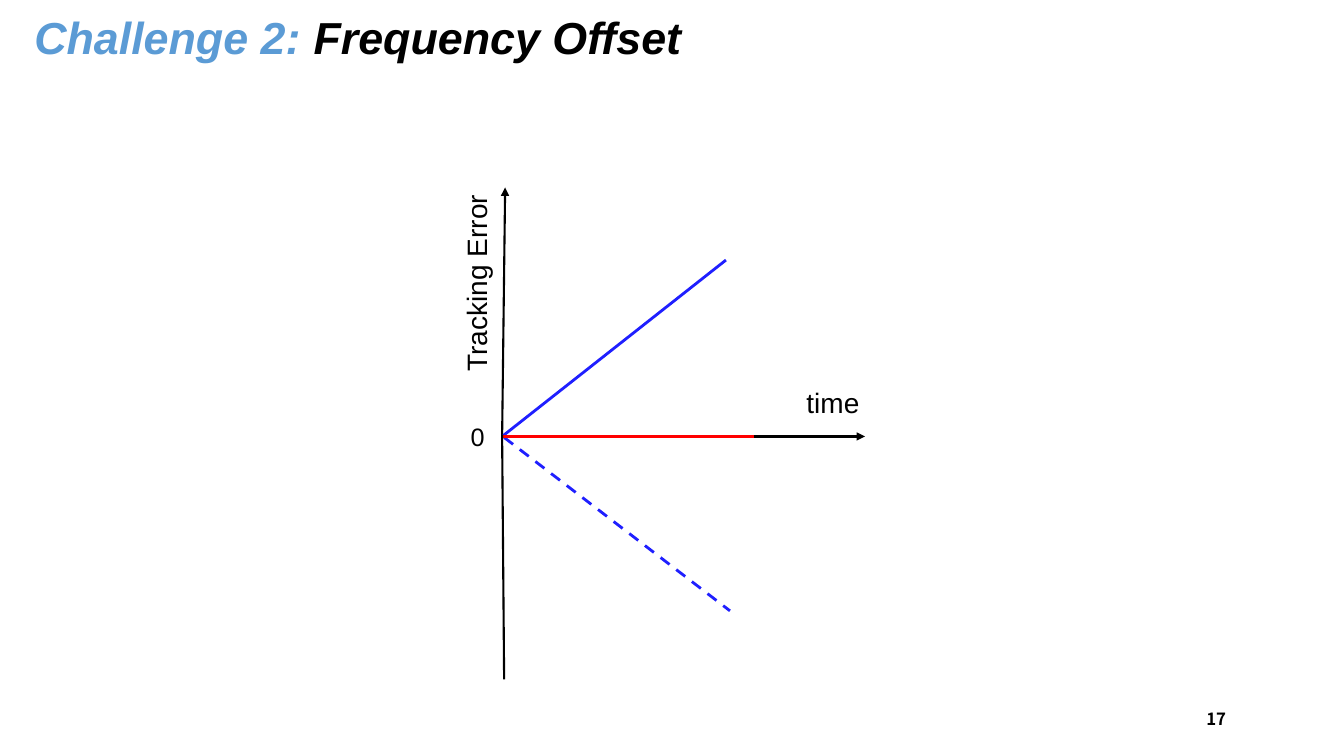
"""Build the frequency offset slide with its tracking error diagram."""
from dataclasses import dataclass

from lxml import etree
from pptx import Presentation
from pptx import util as u
from pptx.dml.color import RGBColor
from pptx.enum import dml, shapes, text
from pptx.oxml.ns import qn


@dataclass(frozen=True)
class Theme:
    black: str = "000000"
    accent: str = "5B9BD5"
    blue: str = "1F1FFF"
    red: str = "FF0000"
    font: str = "Arial"
    number_font: str = "Noto Sans CJK SC"
    title_size: float = 32
    label_size: float = 20
    origin_size: float = 18
    number_size: float = 12
    axis_width: float = 1.5
    drift_width: float = 2
    ideal_width: float = 2.75


THEME = Theme()


@dataclass(frozen=True)
class Segment:
    start: tuple[float, float]
    end: tuple[float, float]
    color: str
    width: float
    arrow: bool = False
    dashed: bool = False


@dataclass(frozen=True)
class Label:
    wording: str
    box: tuple[float, float, float, float]
    size: float
    font: str = THEME.font
    rotation: float = 0
    bold: bool = False
    align: text.PP_ALIGN = text.PP_ALIGN.LEFT


ERROR_AXIS = Segment((4.98, 4.34), (5.01, 1.86), THEME.black, THEME.axis_width, arrow=True)
TIME_AXIS = Segment((4.98, 4.33), (8.58, 4.33), THEME.black, THEME.axis_width, arrow=True)
POSITIVE_DRIFT = Segment((4.98, 4.33), (7.2, 2.58), THEME.blue, THEME.drift_width)
NEGATIVE_DRIFT = Segment((5, 4.34), (7.24, 6.06), THEME.blue, THEME.drift_width, dashed=True)
NO_DRIFT = Segment((4.97, 4.33), (7.48, 4.33), THEME.red, THEME.ideal_width)
LOWER_AXIS = Segment((5, 6.74), (4.98, 4.31), THEME.black, THEME.axis_width)

PAGE_NUMBER = Label("17", (9.26, 6.98, 3, 0.4), THEME.number_size, THEME.number_font,
                    bold=True, align=text.PP_ALIGN.RIGHT)
TIME_LABEL = Label("time", (7.9, 3.78, 0.82, 0.44), THEME.label_size)
ERROR_LABEL = Label("Tracking Error", (3.72, 2.56, 2.01, 0.44), THEME.label_size, rotation=270)
ORIGIN_LABEL = Label("0", (4.57, 4.13, 0.44, 0.4), THEME.origin_size)

ELEMENTS = (PAGE_NUMBER, ERROR_AXIS, TIME_AXIS, TIME_LABEL, ERROR_LABEL,
            POSITIVE_DRIFT, NEGATIVE_DRIFT, NO_DRIFT, ORIGIN_LABEL, LOWER_AXIS)


def apply_format(target, values: dict) -> None:
    """Set each named attribute on the target."""
    for name, value in values.items():
        setattr(target, name, value)


def add_run(paragraph, wording: str, color: str, values: dict) -> None:
    """Append a formatted run to the paragraph."""
    run = paragraph.add_run()
    run.text = wording
    apply_format(run.font, values)
    run.font.color.rgb = RGBColor.from_string(color)


def add_title(slide) -> None:
    """Fill and format the title placeholder."""
    title = slide.shapes.title
    apply_format(title, {"left": u.Inches(0.24), "top": u.Inches(0.12),
                         "width": u.Inches(12.97), "height": u.Inches(0.53)})
    apply_format(title.text_frame, {"auto_size": text.MSO_AUTO_SIZE.NONE, "word_wrap": True,
                                    "vertical_anchor": text.MSO_ANCHOR.BOTTOM,
                                    "margin_bottom": u.Inches(0.02)})
    paragraph = title.text_frame.paragraphs[0]
    apply_format(paragraph, {"alignment": text.PP_ALIGN.LEFT, "line_spacing": 0.8,
                             "space_before": u.Pt(0)})
    values = {"name": THEME.font, "size": u.Pt(THEME.title_size), "bold": True, "italic": True}
    add_run(paragraph, "Challenge 2: ", THEME.accent, values)
    add_run(paragraph, "Frequency Offset", THEME.black, values)


def add_segment(slide, segment: Segment) -> None:
    """Draw a straight line, dashed or with an arrowhead if asked."""
    points = [u.Inches(value) for value in segment.start + segment.end]
    connector = slide.shapes.add_connector(shapes.MSO_CONNECTOR.STRAIGHT, *points)
    connector.line.color.rgb = RGBColor.from_string(segment.color)
    connector.line.width = u.Pt(segment.width)
    if segment.dashed:
        connector.line.dash_style = dml.MSO_LINE.DASH
    properties = connector.element.spPr
    if segment.arrow:
        etree.SubElement(properties.find(qn("a:ln")), qn("a:tailEnd"), type="triangle")
    etree.SubElement(properties, qn("a:effectLst"))


def add_label(slide, label: Label) -> None:
    """Add a text box with one line of text."""
    box = slide.shapes.add_textbox(*(u.Inches(value) for value in label.box))
    box.rotation = label.rotation
    box.text_frame.word_wrap = True
    paragraph = box.text_frame.paragraphs[0]
    paragraph.alignment = label.align
    add_run(paragraph, label.wording, THEME.black,
            {"name": label.font, "size": u.Pt(label.size), "bold": label.bold})


def main() -> None:
    """Assemble and save the slide."""
    presentation = Presentation()
    apply_format(presentation, {"slide_width": u.Inches(13.33), "slide_height": u.Inches(7.5)})
    slide = presentation.slides.add_slide(presentation.slide_layouts[5])
    add_title(slide)
    for element in ELEMENTS:
        if isinstance(element, Segment):
            add_segment(slide, element)
        else:
            add_label(slide, element)
    presentation.save("out.pptx")


if __name__ == "__main__":
    main()
